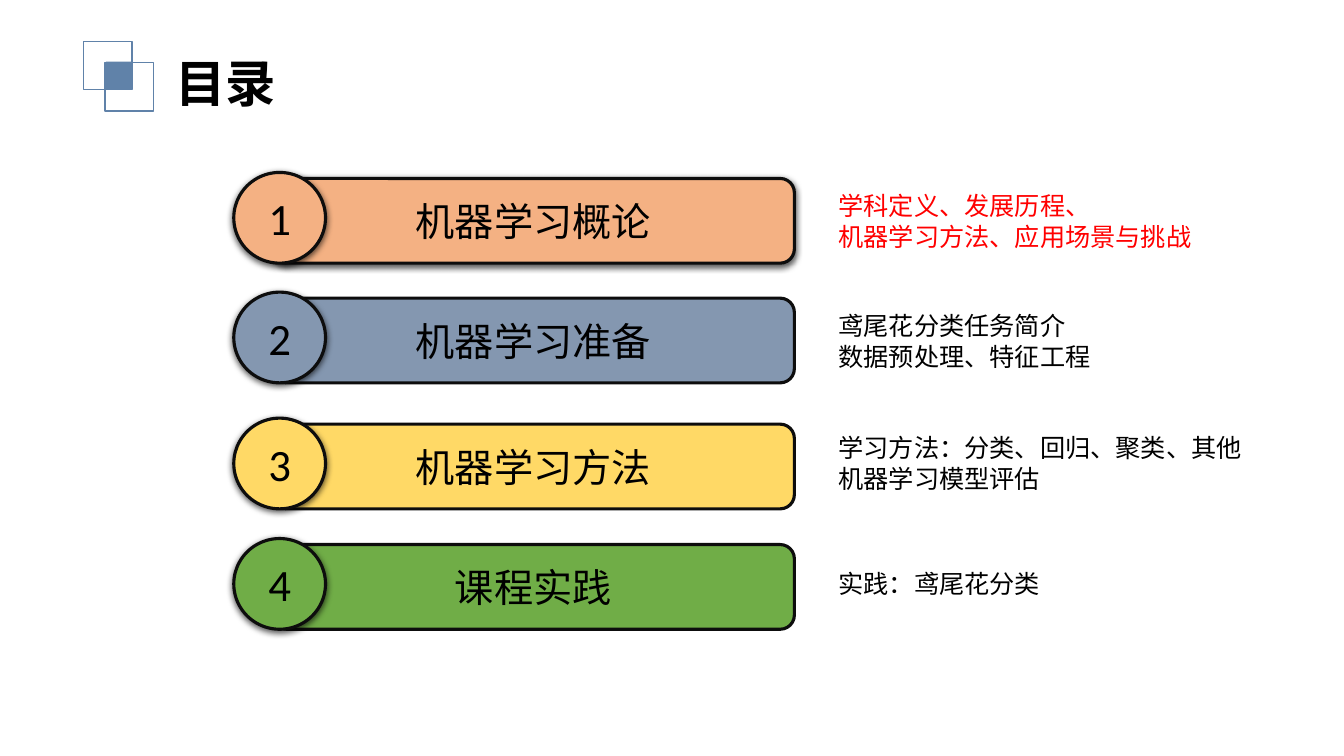
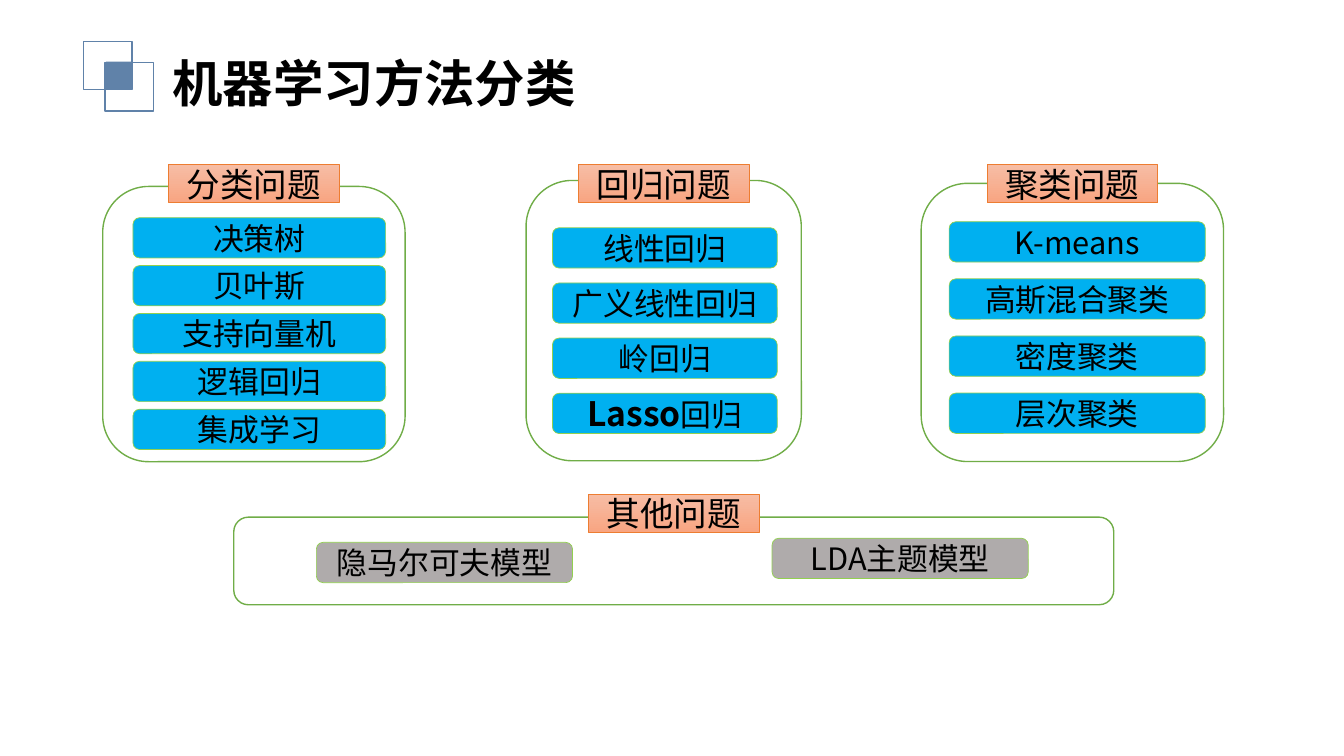
from dataclasses import dataclass
from typing import NamedTuple

from lxml.etree import SubElement
from pptx import Presentation
from pptx.dml.color import RGBColor
from pptx.enum.shapes import MSO_SHAPE as Shape
from pptx.enum.text import MSO_ANCHOR as Anchor, MSO_AUTO_SIZE as AutoSize, PP_ALIGN as Align
from pptx.oxml.ns import qn
from pptx.util import Pt


class Box(NamedTuple):
    left: float
    top: float
    width: float
    height: float

    def points(self):
        return [Pt(value) for value in self]


@dataclass(frozen=True)
class Theme:
    cjk: str = "Noto Sans CJK SC"
    digits: str = "Calibri"
    text: str = "000000"
    highlight: str = "FF0000"
    emblem: str = "6082A9"
    outline: str = "0D0D0D"
    orange: str = "F4B183"
    slate: str = "8497B0"
    yellow: str = "FFD966"
    green: str = "70AD47"
    chip: str = "00B0F0"
    chip_grey: str = "AFABAB"
    chip_line: str = "92D050"
    tag_line: str = "ED7D31"
    tag_fade: tuple = ("F7BDA5", "F8A582")
    title_size: int = 36
    digit_size: int = 32
    bar_size: int = 28
    tag_size: int = 24
    chip_size: int = 22
    note_size: int = 18
    tight: float = 1.22


THEME = Theme()
rgb = RGBColor.from_string


def style_paragraph(para, size, name=THEME.cjk, color=THEME.text, bold=False,
                    align=Align.LEFT, leading=None):
    para.alignment = align
    if leading:
        para.line_spacing = Pt(leading)
    font = para.font
    font.size, font.name, font.bold = Pt(size), name, bold
    font.color.rgb = rgb(color)
    defaults = para._p.pPr.find(qn("a:defRPr"))
    SubElement(defaults, qn("a:ea")).set("typeface", name)


def add_block(page, kind, box, line=None, weight=1, fill=None):
    block = page.shapes.add_shape(kind, *box.points())
    block.shadow.inherit = False
    if fill:
        block.fill.solid()
        block.fill.fore_color.rgb = rgb(fill)
    else:
        block.fill.background()
    if line:
        block.line.color.rgb = rgb(line)
        block.line.width = Pt(weight)
    else:
        block.line.fill.background()
    return block


def add_label(block, text, size, name=THEME.cjk, lead=""):
    """Centre text in a block, after an optional larger bold lead."""
    frame = block.text_frame
    frame.word_wrap = True
    frame.vertical_anchor = Anchor.MIDDLE
    para = frame.paragraphs[0]
    if lead:
        span = para.add_run()
        span.text = lead
        span.font.bold, span.font.size = True, Pt(THEME.tag_size)
    para.add_run().text = text
    style_paragraph(para, size, name, align=Align.CENTER)


def cast_shadow(block):
    effects = block._element.spPr.find(qn("a:effectLst"))
    shadow = SubElement(effects, qn("a:outerShdw"), blurRad=str(Pt(4.5)),
                        dist=str(Pt(1.5)), dir="5400000", algn="t", rotWithShape="0")
    color = SubElement(shadow, qn("a:srgbClr"), val="000000")
    SubElement(color, qn("a:alpha"), val="63000")


def move_emblem_to_layout(page):
    """Draw the overlapping squares and put them on the page's layout."""
    layout = page.slide_layout
    for holder in list(layout.placeholders)[1:]:
        layout.shapes.element.remove(holder._element)
    squares = [
        add_block(page, Shape.RECTANGLE, Box(59.8, 29.5, 34.6, 34.6), THEME.emblem),
        add_block(page, Shape.RECTANGLE, Box(74.9, 44.6, 34.6, 34.6), THEME.emblem),
        add_block(page, Shape.RECTANGLE, Box(75.6, 44, 18, 19.5), fill=THEME.emblem),
    ]
    for square in squares:
        layout.shapes.element.append(square._element)


def set_title(page, text, left):
    title = page.shapes.title
    box = Box(left, 33, THEME.title_size * len(text) + 18, 51)
    title.left, title.top, title.width, title.height = box.points()
    frame = title.text_frame
    frame.text = text
    frame.word_wrap = False
    frame.auto_size = AutoSize.NONE
    frame.vertical_anchor = Anchor.TOP
    style_paragraph(frame.paragraphs[0], THEME.title_size, bold=True,
                    leading=THEME.title_size * THEME.tight)


def add_chapter(page, bar_box, number, name, color, notes, note_rise, current):
    """Numbered bar with its notes to the right; the current one stands out."""
    left, top, width, height = bar_box
    bar = add_block(page, Shape.ROUNDED_RECTANGLE, bar_box, THEME.outline, 2.25, color)
    add_label(bar, name, THEME.bar_size)
    badge = add_block(page, Shape.OVAL, Box(left - 27.4, top - 4.3, 65.5, 64.8),
                      THEME.outline, 2.25, color)
    add_label(badge, str(number), THEME.digit_size, THEME.digits)
    cast_shadow(badge)
    if current:
        cast_shadow(bar)

    note_box = Box(left + width + 24.5, top - note_rise, 340, height)
    frame = page.shapes.add_textbox(*note_box.points()).text_frame
    frame.word_wrap = True
    frame.vertical_anchor = Anchor.MIDDLE
    frame.text = "\n".join(notes)
    for para in frame.paragraphs:
        style_paragraph(para, THEME.note_size,
                        color=THEME.highlight if current else THEME.text,
                        leading=THEME.note_size * THEME.tight)


def build_contents(page):
    set_title(page, "目录", 118)
    chapters = [
        (127.5, "机器学习概论", THEME.orange,
         ["学科定义、发展历程、", "机器学习方法、应用场景与挑战"], 0),
        (213, "机器学习准备", THEME.slate, ["鸢尾花分类任务简介", "数据预处理、特征工程"], 0),
        (303, "机器学习方法", THEME.yellow,
         ["学习方法：分类、回归、聚类、其他", "机器学习模型评估"], 2.5),
        (389, "课程实践", THEME.green, ["实践：鸢尾花分类"], 2.5),
    ]
    for number, (top, name, color, notes, rise) in enumerate(chapters, 1):
        add_chapter(page, Box(194.4, top, 373, 60.5), number, name, color, notes,
                    rise, current=number == 1)


def add_group(page, box, name, tag_rise, methods, first, step, chip_width, color=THEME.chip):
    """Frame with a tag centred on its top edge and evenly stepped chips.

    first is the first chip's offset in the frame, step the move to the next.
    """
    add_block(page, Shape.ROUNDED_RECTANGLE, box, THEME.green)
    tag_width = 121.7
    tag = add_block(page, Shape.RECTANGLE,
                    Box(box.left + (box.width - tag_width) / 2, box.top - tag_rise,
                        tag_width, 27.4), THEME.tag_line, 0.5)
    tag.fill.gradient()
    tag.fill.gradient_angle = 270
    for stop, shade in zip(tag.fill.gradient_stops, THEME.tag_fade):
        stop.color.rgb = rgb(shade)
    add_label(tag, name, THEME.tag_size)

    for index, method in enumerate(methods):
        lead, text = method if isinstance(method, tuple) else ("", method)
        chip_box = Box(box.left + first[0] + index * step[0],
                       box.top + first[1] + index * step[1], chip_width, 28.8)
        chip = add_block(page, Shape.ROUNDED_RECTANGLE, chip_box, THEME.chip_line, 0.5, color)
        add_label(chip, text, THEME.chip_size, lead=lead)


def build_methods(page):
    set_title(page, "机器学习方法分类", 116)
    add_group(page, Box(73.4, 133.2, 216, 196.6), "分类问题", 15.8,
              ["决策树", "贝叶斯", "支持向量机", "逻辑回归", "集成学习"],
              (21.6, 22.3), (0, 34.2), 180.5)
    add_group(page, Box(375.8, 128.9, 196.6, 200.2), "回归问题", 11.5,
              ["线性回归", "广义线性回归", "岭回归", ("Lasso", "回归")],
              (18.8, 33.8), (0, 39.4), 160.6)
    add_group(page, Box(658, 131, 216, 198.7), "聚类问题", 13.6,
              ["K-means", "高斯混合聚类", "密度聚类", "层次聚类"],
              (20, 27.4), (0, 40.8), 183)
    add_group(page, Box(167, 369.4, 628.6, 62.6), "其他问题", 16.6,
              ["隐马尔可夫模型", "LDA主题模型"],
              (59, 18), (325.5, -2.9), 183, THEME.chip_grey)


def main():
    deck = Presentation()
    deck.slide_width, deck.slide_height = Pt(960), Pt(540)
    title_only = deck.slide_layouts[5]
    contents, methods = [deck.slides.add_slide(title_only) for _ in range(2)]
    move_emblem_to_layout(contents)
    build_contents(contents)
    build_methods(methods)
    deck.save("out.pptx")


if __name__ == "__main__":
    main()
